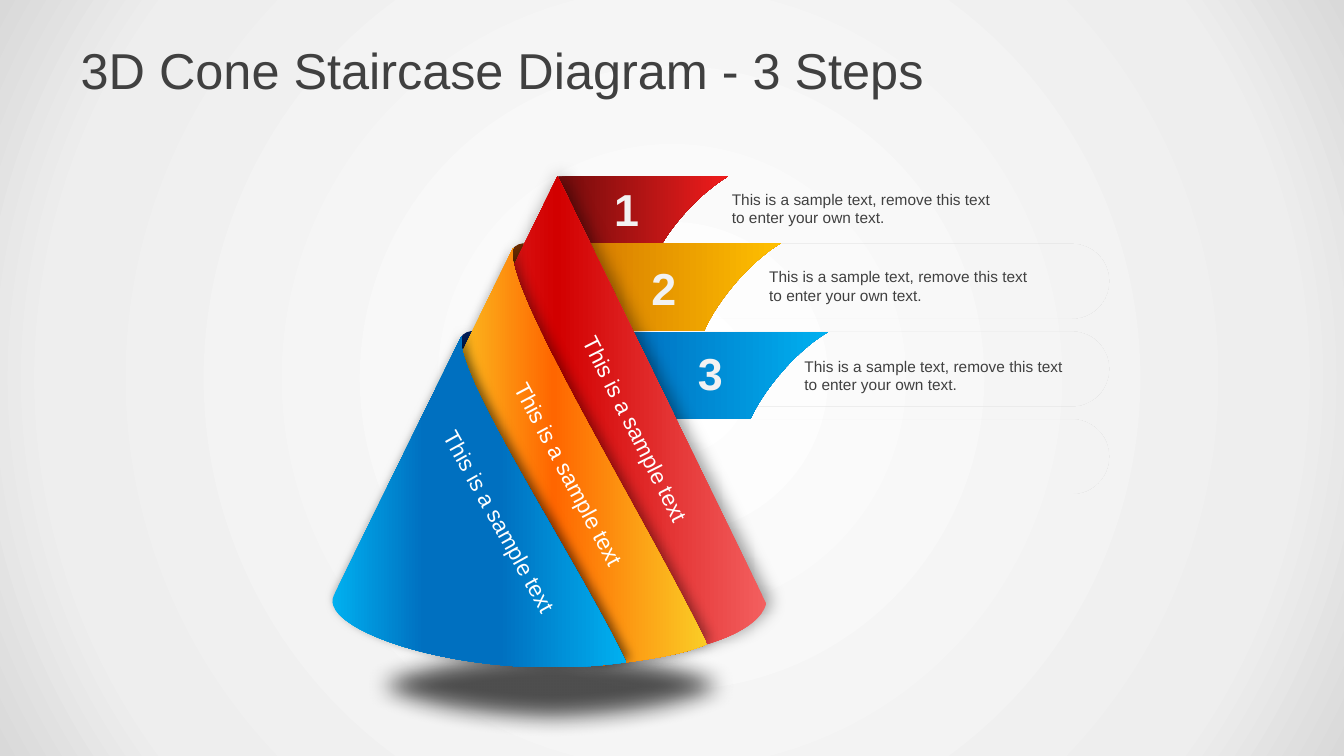
from dataclasses import dataclass
from typing import Any, Optional

from pptx import Presentation
from pptx.dml.color import RGBColor
from pptx.enum.shapes import MSO_SHAPE
from pptx.enum.text import MSO_ANCHOR, MSO_AUTO_SIZE, PP_ALIGN
from pptx.oxml import parse_xml
from pptx.oxml.ns import nsdecls, qn
from pptx.util import Emu, Pt

PX = 9144
POINT = 12700
CURVE_STEPS = 40
FONT = "Arial"
DARK = "404040"
LEFT, CENTER = PP_ALIGN.LEFT, PP_ALIGN.CENTER
MIDDLE = MSO_ANCHOR.MIDDLE
FIXED, GROW = MSO_AUTO_SIZE.NONE, MSO_AUTO_SIZE.SHAPE_TO_FIT_TEXT
ELLIPSE, PILL = MSO_SHAPE.OVAL, MSO_SHAPE.ROUNDED_RECTANGLE
TITLE_ONLY = 5

Stops = list[tuple[int, str]]
Outline = list[tuple[int, ...]]
BACKDROP: Stops = [(0, "FFFFFF"), (81, "EEEEEE"), (100, "D9D9D9")]


@dataclass
class Shadow:
    alpha: int
    blur: int
    distance: int
    direction: int


@dataclass
class Piece:
    outline: Outline
    stops: Stops
    shadow: Optional[Shadow] = None


@dataclass
class Band:
    piece: Piece
    pill: tuple[int, int]


@dataclass
class Step:
    number: tuple[int, int]
    caption: tuple[int, int]
    label: tuple[int, int]
    angle: float


PILL_RIGHT, PILL_HEIGHT = 1100, 74
PILL_SHADOW = Shadow(25, 9, 9, 270)

TOP_FOLD = Piece([(508, 275), (499, 241, 517, 240, 526, 242), (523, 264)], [(0, "742F00")])
LOWER_FOLD = Piece([(457, 362), (448, 328, 466, 327, 475, 329), (472, 351)], [(0, "002060")])

BANDS = [
    Band(Piece([(552, 175), (722, 175), (693, 192, 657, 232, 649, 259), (552, 263)],
               [(0, "720C0C"), (100, "F01C1C")]), (535, 242)),
    Band(Piece([(577, 241), (775, 241), (741, 261, 704, 307, 695, 338), (577, 344)],
               [(0, "D67A00"), (100, "FFC000")]), (568, 329)),
    Band(Piece([(621, 329), (822, 329), (787, 349, 750, 395, 740, 427), (621, 432)],
               [(0, "0070C0"), (100, "00B0F0")]), (586, 416)),
]

CONE = [
    Piece([(345, 599), (553, 175), (760, 599), (745, 652, 543, 687, 345, 599)],
          [(0, "F35F5F"), (50, "D20000"), (100, "F35F5F")], Shadow(40, 12, 3, 315)),
    LOWER_FOLD,
    Piece([(509, 246), (452, 362), (588, 661), (634, 656, 677, 650, 701, 639),
           (637, 508, 495, 280, 509, 246)],
          [(0, "FBBD20"), (39, "FF6600"), (100, "FACD26")], Shadow(40, 9, 3, 315)),
    Piece([(458, 333), (331, 591), (314, 625, 468, 679, 621, 657),
           (569, 550, 447, 367, 458, 333)],
          [(0, "00B0F0"), (31, "0070C0"), (58, "0072C1"), (100, "00B0F0")],
          Shadow(53, 8, 3, 315)),
]

STEPS = [
    Step((594, 168), (716, 168), (497, 401), 63.3),
    Step((631, 247), (753, 245), (431, 446), 62),
    Step((677, 331), (788, 334), (362, 493), 61),
]


def color(value: str) -> RGBColor:
    return RGBColor.from_string(value)


def gradient(stops: Stops, radial: bool) -> Any:
    marks = "".join(f'<a:gs pos="{position * 1000}"><a:srgbClr val="{value}"/></a:gs>'
                    for position, value in stops)
    way = ('<a:path path="circle"><a:fillToRect l="50000" t="50000" r="50000" b="50000"/></a:path>'
           if radial else '<a:lin ang="0" scaled="0"/>')
    return parse_xml(f'<a:gradFill {nsdecls("a")} rotWithShape="1"><a:gsLst>{marks}</a:gsLst>'
                     f'{way}</a:gradFill>')


def paint(fill: Any, owner: Any, stops: Stops, radial: bool = False) -> None:
    fill.solid()
    fill.fore_color.rgb = color(stops[0][1])
    if len(stops) > 1:
        owner.replace(owner.find(qn("a:solidFill")), gradient(stops, radial))


def finish(shape: Any, shadow: Optional[Shadow]) -> None:
    shape.line.fill.background()
    shape.shadow.inherit = False
    if shadow:
        shape.element.spPr.find(qn("a:effectLst")).append(parse_xml(
            f'<a:outerShdw {nsdecls("a")} blurRad="{shadow.blur * POINT}" '
            f'dist="{shadow.distance * POINT}" dir="{shadow.direction * 60000}" '
            f'algn="ctr" rotWithShape="0"><a:srgbClr val="000000">'
            f'<a:alpha val="{shadow.alpha * 1000}"/></a:srgbClr></a:outerShdw>'))


def flatten(outline: Outline) -> list[tuple[float, float]]:
    points: list[tuple[float, float]] = []
    for node in outline:
        if len(node) == 2:
            points.append((node[0] * PX, node[1] * PX))
            continue
        controls = [points[-1]] + [(node[i] * PX, node[i + 1] * PX) for i in (0, 2, 4)]
        for step in range(1, CURVE_STEPS + 1):
            t = step / CURVE_STEPS
            weights = ((1 - t) ** 3, 3 * t * (1 - t) ** 2, 3 * t * t * (1 - t), t ** 3)
            points.append((sum(w * c[0] for w, c in zip(weights, controls)),
                           sum(w * c[1] for w, c in zip(weights, controls))))
    return points


def set_curves(shape: Any, outline: Outline) -> None:
    outline_path = shape.element.spPr.find(".//" + qn("a:path"))
    for child in list(outline_path):
        outline_path.remove(child)
    for index, node in enumerate(outline):
        tag = "moveTo" if index == 0 else "lnTo" if len(node) == 2 else "cubicBezTo"
        points = "".join(f'<a:pt x="{x * PX - shape.left}" y="{y * PX - shape.top}"/>'
                         for x, y in zip(node[::2], node[1::2]))
        outline_path.append(parse_xml(f'<a:{tag} {nsdecls("a")}>{points}</a:{tag}>'))
    outline_path.append(parse_xml(f'<a:close {nsdecls("a")}/>'))


def draw_piece(shapes: Any, piece: Piece) -> None:
    start, *rest = flatten(piece.outline)
    builder = shapes.build_freeform(*start)
    builder.add_line_segments(rest, close=True)
    shape = builder.convert_to_shape()
    set_curves(shape, piece.outline)
    paint(shape.fill, shape.element.spPr, piece.stops)
    finish(shape, piece.shadow)


def draw_preset(shapes: Any, kind: Any, box: tuple[int, ...]) -> Any:
    return shapes.add_shape(kind, *(Emu(value * PX) for value in box))


def draw_floor_shadow(shapes: Any) -> None:
    shape = draw_preset(shapes, ELLIPSE, (340, 628, 413, 105))
    properties = shape.element.spPr
    paint(shape.fill, properties, [(0, "000000")])
    finish(shape, None)
    properties.find(qn("a:solidFill"))[0].append(
        parse_xml(f'<a:alpha {nsdecls("a")} val="68000"/>'))
    properties.find(qn("a:effectLst")).append(
        parse_xml(f'<a:softEdge {nsdecls("a")} rad="{16 * POINT}"/>'))


def draw_band(shapes: Any, band: Band) -> None:
    draw_piece(shapes, band.piece)
    left, top = band.pill
    shape = draw_preset(shapes, PILL, (left, top, PILL_RIGHT - left, PILL_HEIGHT))
    shape.adjustments[0] = 0.5
    finish(shape, PILL_SHADOW)
    shape.element.set("useBgFill", "1")
    shape.element.remove(shape.element.find(qn("p:style")))


def write(shape: Any, text: str, size: int, ink: str, align: Any,
          bold: bool = False, wrap: bool = True, fit: Any = FIXED) -> None:
    frame = shape.text_frame
    frame.text = text
    for name, value in {"word_wrap": wrap, "auto_size": fit, "vertical_anchor": MIDDLE}.items():
        setattr(frame, name, value)
    paragraph = frame.paragraphs[0]
    paragraph.alignment = align
    font = paragraph.runs[0].font
    for name, value in {"name": FONT, "size": Pt(size), "bold": bold}.items():
        setattr(font, name, value)
    font.color.rgb = color(ink)


def text_box(shapes: Any, place: tuple[int, int], width: int, height: int) -> Any:
    return shapes.add_textbox(*(Emu(value * PX) for value in (*place, width, height)))


def draw_title(slide: Any) -> None:
    title = slide.shapes.title
    for name, value in {"left": 67, "top": 30, "width": 1200, "height": 78}.items():
        setattr(title, name, Emu(value * PX))
    write(title, "3D Cone Staircase Diagram - 3 Steps", 36, DARK, LEFT)
    for side, value in {"left": 13, "right": 13, "top": 7, "bottom": 7}.items():
        setattr(title.text_frame, f"margin_{side}", Emu(value * PX))


def main() -> None:
    presentation = Presentation()
    presentation.slide_width, presentation.slide_height = Emu(1333 * PX), Emu(750 * PX)
    slide = presentation.slides.add_slide(presentation.slide_layouts[TITLE_ONLY])
    fill = slide.background.fill
    paint(fill, slide.element.find(".//" + qn("p:bgPr")), BACKDROP, radial=True)
    draw_title(slide)
    shapes = slide.shapes.add_group_shape().shapes
    draw_floor_shadow(shapes)
    draw_piece(shapes, TOP_FOLD)
    for band in BANDS:
        draw_band(shapes, band)
    for piece in CONE:
        draw_piece(shapes, piece)
    for index, step in enumerate(STEPS, 1):
        write(text_box(shapes, step.number, 55, 77), str(index), 32, "F2F2F2", CENTER,
              bold=True, wrap=False, fit=GROW)
    for step in STEPS:
        write(text_box(shapes, step.caption, 282, 77),
              "This is a sample text, remove this text to enter your own text.", 11, DARK, LEFT)
    for step in STEPS:
        label = text_box(shapes, step.label, 267, 49)
        label.rotation = step.angle
        write(label, "This is a sample text", 16, "FFFFFF", CENTER)
    presentation.save("out.pptx")


if __name__ == "__main__":
    main()
